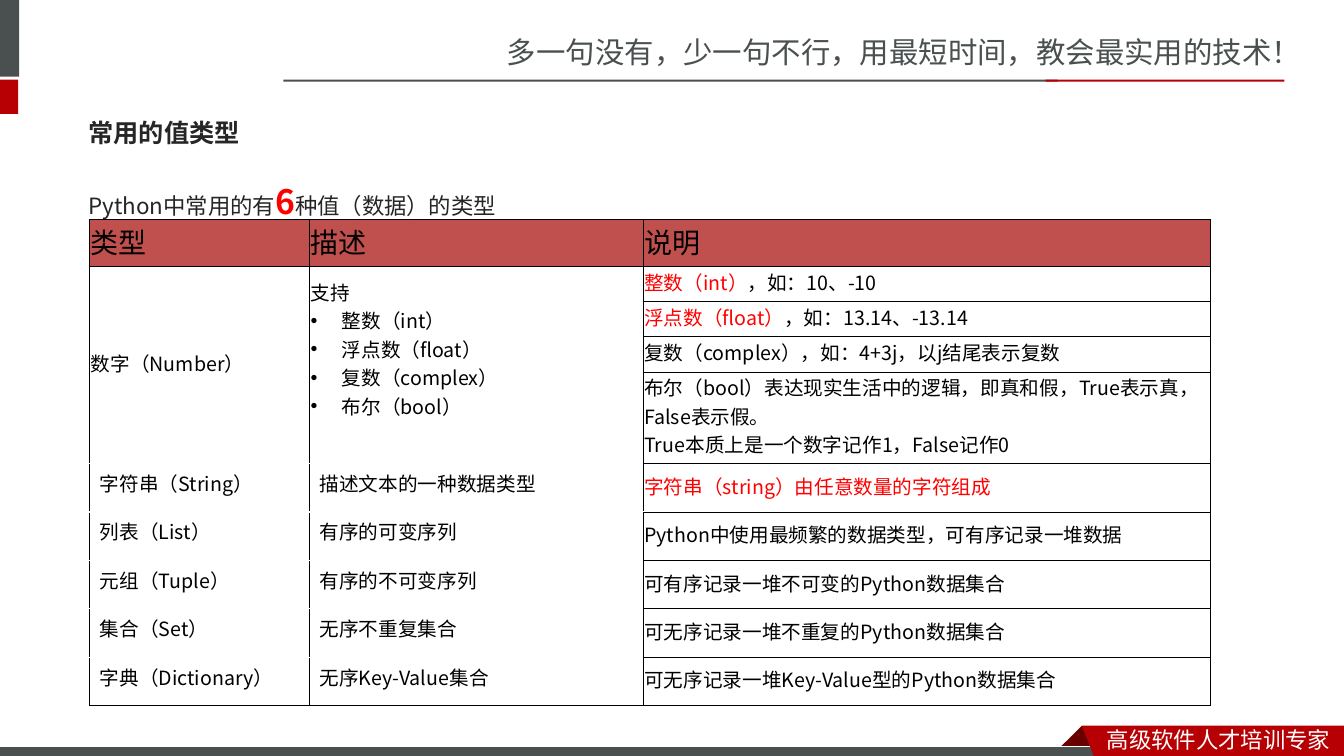
import lxml.etree
import pptx
import pptx.dml.color
import pptx.enum.shapes
import pptx.enum.text
import pptx.oxml.ns
import pptx.util

# Slide grid: every column and row is a hundredth of an inch
COLUMNS, ROWS = 1333, 750
CELL = pptx.util.Inches(0.01)
COLORS = {"gray": "49504F", "red": "B60004", "dark_red": "680000", "white": "FFFFFF",
          "ink": "262626", "black": "000000", "accent": "FF0000", "header": "C0504D"}
FONT_SC, FONT_JP = "Noto Sans CJK SC", "Noto Sans CJK JP"
MIDDLE = pptx.enum.text.MSO_ANCHOR.MIDDLE

TABLE_COLUMNS = [218, 331, 562]
TABLE_ROWS = [46] + [35] * 3 + [91] + [48] * 5
HEADERS = ["类型", "描述", "说明"]
NUMBER_KINDS = ["整数（int）", "浮点数（float）", "复数（complex）", "布尔（bool）"]
# Each paragraph of a note is a list of (text, color) runs
NUMBER_NOTES = [
    [[("整数（int）", "accent"), ("，如：10、-10", "black")]],
    [[("浮点数（float）", "accent"), ("，如：13.14、-13.14", "black")]],
    [[("复数（complex），如：4+3j，以j结尾表示复数", "black")]],
    [[("布尔（bool）表达现实生活中的逻辑，即真和假，True表示真，False表示假。", "black")],
     [("True本质上是一个数字记作1，False记作0", "black")]],
]
OTHER_TYPES = [
    ("字符串（String）", "描述文本的一种数据类型", "字符串（string）由任意数量的字符组成", "accent"),
    ("列表（List）", "有序的可变序列", "Python中使用最频繁的数据类型，可有序记录一堆数据", "black"),
    ("元组（Tuple）", "有序的不可变序列", "可有序记录一堆不可变的Python数据集合", "black"),
    ("集合（Set）", "无序不重复集合", "可无序记录一堆不重复的Python数据集合", "black"),
    ("字典（Dictionary）", "无序Key-Value集合", "可无序记录一堆Key-Value型的Python数据集合", "black"),
]


def color_of(name):
    return pptx.dml.color.RGBColor.from_string(COLORS[name])


def add_element(parent, tag, **attributes):
    return lxml.etree.SubElement(parent, pptx.oxml.ns.qn(tag), attributes)


def set_attributes(target, values):
    for name, value in values.items():
        setattr(target, name, value)


def add_run(paragraph, text, size, color, font=FONT_JP, bold=False):
    run = paragraph.add_run()
    run.text = text
    set_attributes(run.font, {"size": pptx.util.Pt(size), "name": font, "bold": bold})
    run.font.color.rgb = color_of(color)
    add_element(run.font._element, "a:ea", typeface=font)


def paint(shape, fill, line=None):
    shape.shadow.inherit = False
    shape.fill.solid()
    shape.fill.fore_color.rgb = color_of(fill)
    if line:
        shape.line.color.rgb = color_of(line)
        shape.line.width = pptx.util.Pt(0.75)
    else:
        shape.line.fill.background()


def add_bar(slide, left, top, width, height, fill, line=None):
    bar = slide.shapes.add_shape(pptx.enum.shapes.MSO_SHAPE.RECTANGLE,
                                 *(CELL * n for n in (left, top, width, height)))
    paint(bar, fill, line)


def add_outline(slide, points, fill):
    builder = slide.shapes.build_freeform(*points[0], scale=CELL)
    builder.add_line_segments(points[1:], close=True)
    paint(builder.convert_to_shape(), fill)


def add_text(slide, left, top, width, height, runs, **frame_format):
    box = slide.shapes.add_textbox(*(CELL * n for n in (left, top, width, height)))
    set_attributes(box.text_frame, {"word_wrap": True, **frame_format})
    paragraph = box.text_frame.paragraphs[0]
    for run in runs:
        add_run(paragraph, **run)
    return paragraph


def add_header(slide, left, top, width):
    # Slogan, corner blocks and two-tone rule
    add_text(slide, left + 493, top + 29, width - 492, 47,
             [dict(text="多一句没有，少一句不行，用最短时间，教会最实用的技术！",
                   size=21, color="gray", font=FONT_SC)])
    add_bar(slide, left - 6, top, 25, 76, "gray")
    add_bar(slide, left - 6, top + 79, 24, 34, "red")
    add_bar(slide, left + 281, top + 79, 768, 2, "gray")
    add_bar(slide, left + 1037, top + 79, 237, 2, "red")


def add_footer(slide, left, top, width):
    # Folded ribbon over the bottom bar
    right, fold = left + width, left + width - 260
    add_outline(slide, [(fold, top), (fold + 22, top + 22), (fold + 21, top + 23),
                        (fold - 21, top + 23), (fold - 22, top + 22)], "dark_red")
    add_bar(slide, left - 1, top + 21, 1100, 12, "gray", "white")
    add_outline(slide, [(fold, top), (right, top), (right, top + 34),
                        (fold + 13, top + 33)], "red")
    add_text(slide, fold + 15, top - 5, 245, 37,
             [dict(text="高级软件人才培训专家", size=16, color="white", font=FONT_SC)])


def add_titles(slide, left, top, width):
    add_text(slide, left, top, width, 57,
             [dict(text="常用的值类型", size=18, color="ink", bold=True)],
             vertical_anchor=MIDDLE)
    lead = add_text(slide, left, top + 52, width, 461, [
        dict(text="Python中常用的有", size=16, color="ink"),
        dict(text="6", size=24, color="accent", bold=True),
        dict(text="种值（数据）的类型", size=16, color="ink")])
    lead.line_spacing = 1.5


def set_borders(cell, white_top):
    properties = cell._tc.get_or_add_tcPr()
    for index, side in enumerate("LRTB"):
        is_white = white_top and side == "T"
        line = add_element(properties, f"a:ln{side}", w="12700" if is_white else "6350")
        fill = add_element(line, "a:solidFill")
        add_element(fill, "a:srgbClr", val=COLORS["white" if is_white else "black"])
        properties.insert(index, line)


def fill_cell(cell, paragraphs, size=14, tight=True):
    if tight:
        margins = {f"margin_{side}": CELL for side in ("left", "right", "top")}
        set_attributes(cell, {"vertical_anchor": MIDDLE, "margin_bottom": CELL * 5, **margins})
    for index, runs in enumerate(paragraphs):
        frame = cell.text_frame
        paragraph = frame.add_paragraph() if index else frame.paragraphs[0]
        for text, color in runs:
            add_run(paragraph, text, size, color)


def add_bullet(paragraph):
    properties = paragraph._p.get_or_add_pPr()
    properties.set("marL", str(CELL * 31))
    properties.set("indent", str(-CELL * 31))
    add_element(properties, "a:buFont", typeface="Arial")
    add_element(properties, "a:buChar", char="•")


def add_type_table(slide, left, top):
    frame = slide.shapes.add_table(len(TABLE_ROWS), len(TABLE_COLUMNS), *(CELL * n for n in (
        left, top, sum(TABLE_COLUMNS), sum(TABLE_ROWS))))
    table = frame.table
    set_attributes(table, {"first_row": False, "horz_banding": False})
    for column, width in zip(table.columns, TABLE_COLUMNS):
        column.width = CELL * width
    for row, height in zip(table.rows, TABLE_ROWS):
        row.height = CELL * height

    # Fills and borders
    first_other = 1 + len(NUMBER_NOTES)
    for row in range(len(TABLE_ROWS)):
        for column in range(len(TABLE_COLUMNS)):
            cell = table.cell(row, column)
            if row == 0:
                cell.fill.solid()
                cell.fill.fore_color.rgb = color_of("header")
            else:
                cell.fill.background()
            set_borders(cell, row >= first_other and column < 2)

    # Header row
    for column, header in enumerate(HEADERS):
        fill_cell(table.cell(0, column), [[(header, "black")]], size=20)

    # Number type, spanning one row per kind
    for column in (0, 1):
        table.cell(1, column).merge(table.cell(first_other - 1, column))
    fill_cell(table.cell(1, 0), [[("数字（Number）", "black")]])
    kinds = table.cell(1, 1)
    fill_cell(kinds, [[(text, "black")] for text in ["支持", *NUMBER_KINDS]])
    kinds.margin_bottom = CELL * 33
    for paragraph in kinds.text_frame.paragraphs[1:]:
        add_bullet(paragraph)
    for row, note in enumerate(NUMBER_NOTES, 1):
        fill_cell(table.cell(row, 2), note)

    # Remaining types
    for row, (name, description, note, color) in enumerate(OTHER_TYPES, first_other):
        fill_cell(table.cell(row, 0), [[(name, "black")]], tight=False)
        fill_cell(table.cell(row, 1), [[(description, "black")]], tight=False)
        fill_cell(table.cell(row, 2), [[(note, color)]])


def main():
    presentation = pptx.Presentation()
    presentation.slide_width = CELL * COLUMNS
    presentation.slide_height = CELL * ROWS
    slide = presentation.slides.add_slide(presentation.slide_layouts[6])
    add_header(slide, 0, 0, COLUMNS)
    add_footer(slide, 0, ROWS - 30, COLUMNS)
    add_titles(slide, 78, 103, 1170)
    add_type_table(slide, 89, 218)
    presentation.save("out.pptx")


if __name__ == "__main__":
    main()
